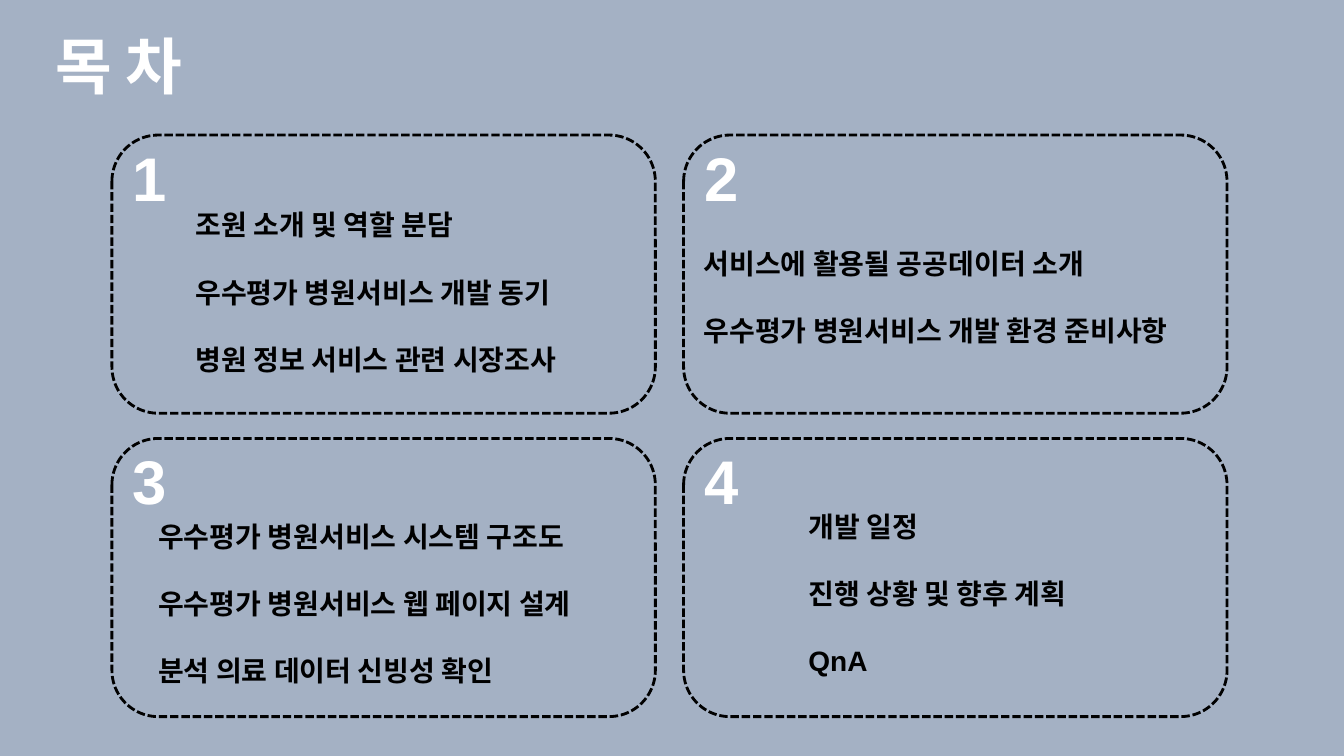
from pptx import Presentation, util as u
from pptx.dml.color import RGBColor
from pptx.enum import dml, shapes, text

BACKGROUND = RGBColor(0xA4, 0xB1, 0xC4)
WHITE = RGBColor(0xFF, 0xFF, 0xFF)
BLACK = RGBColor(0x00, 0x00, 0x00)

PANEL_LEFT, PANEL_TOP = 1.11, 1.34
PANEL_WIDTH, PANEL_HEIGHT = 5.39, 2.76
COLUMN_STEP, ROW_STEP = 5.67, 3.01

# Each section: position and size of its topic list, then the topics
SECTIONS = [
    ((1.84, 1.68, 4.24, 2.12),
     ["조원 소개 및 역할 분담", "우수평가 병원서비스 개발 동기", "병원 정보 서비스 관련 시장조사"]),
    ((6.88, 2.06, 5.36, 1.45),
     ["서비스에 활용될 공공데이터 소개", "우수평가 병원서비스 개발 환경 준비사항"]),
    ((1.47, 4.77, 4.8, 2.12),
     ["우수평가 병원서비스 시스템 구조도", "우수평가 병원서비스 웹 페이지 설계", "분석 의료 데이터 신빙성 확인"]),
    ((7.92, 4.67, 3.12, 2.12),
     ["개발 일정", "진행 상황 및 향후 계획", "QnA"]),
]


class ContentsSlide:
    font_name = "Arial"
    heading_size = u.Pt(44)
    topic_size = u.Pt(20)

    def __init__(self, presentation):
        self.slide = presentation.slides.add_slide(presentation.slide_layouts[6])
        fill = self.slide.background.fill
        fill.solid()
        fill.fore_color.rgb = BACKGROUND

    def add_panel(self, left, top):
        panel = self.slide.shapes.add_shape(
            shapes.MSO_SHAPE.ROUNDED_RECTANGLE, u.Inches(left), u.Inches(top),
            u.Inches(PANEL_WIDTH), u.Inches(PANEL_HEIGHT))
        panel.shadow.inherit = False
        panel.fill.background()
        panel.line.color.rgb = BLACK
        panel.line.width = u.Pt(2)
        panel.line.dash_style = dml.MSO_LINE.SQUARE_DOT

    def add_text(self, box, lines, size, color, wrap=True, line_spacing=None):
        shape = self.slide.shapes.add_textbox(*map(u.Inches, box))
        frame = shape.text_frame
        frame.word_wrap = wrap
        frame.auto_size = text.MSO_AUTO_SIZE.SHAPE_TO_FIT_TEXT
        for index, line in enumerate(lines):
            paragraph = frame.add_paragraph() if index else frame.paragraphs[0]
            paragraph.line_spacing = line_spacing
            run = paragraph.add_run()
            run.text = line
            run.font.name = self.font_name
            run.font.size = size
            run.font.bold = True
            run.font.color.rgb = color

    def add_heading(self, left, top, width, heading):
        self.add_text((left, top, width, 0.84), [heading], self.heading_size, WHITE)

    def add_topics(self, box, topics):
        self.add_text(box, topics, self.topic_size, BLACK, wrap=False, line_spacing=2.0)


def main():
    presentation = Presentation()
    presentation.slide_width = u.Inches(13.33)
    presentation.slide_height = u.Inches(7.5)

    contents = ContentsSlide(presentation)
    contents.add_heading(0.45, 0.23, 1.81, "목 차")
    for index, (topics_box, topics) in enumerate(SECTIONS):
        row, column = divmod(index, 2)
        left = PANEL_LEFT + column * COLUMN_STEP
        top = PANEL_TOP + row * ROW_STEP
        contents.add_panel(left, top)
        contents.add_topics(topics_box, topics)
        contents.add_heading(left + 0.11, top, 0.71, str(index + 1))

    presentation.save("out.pptx")


if __name__ == "__main__":
    main()
